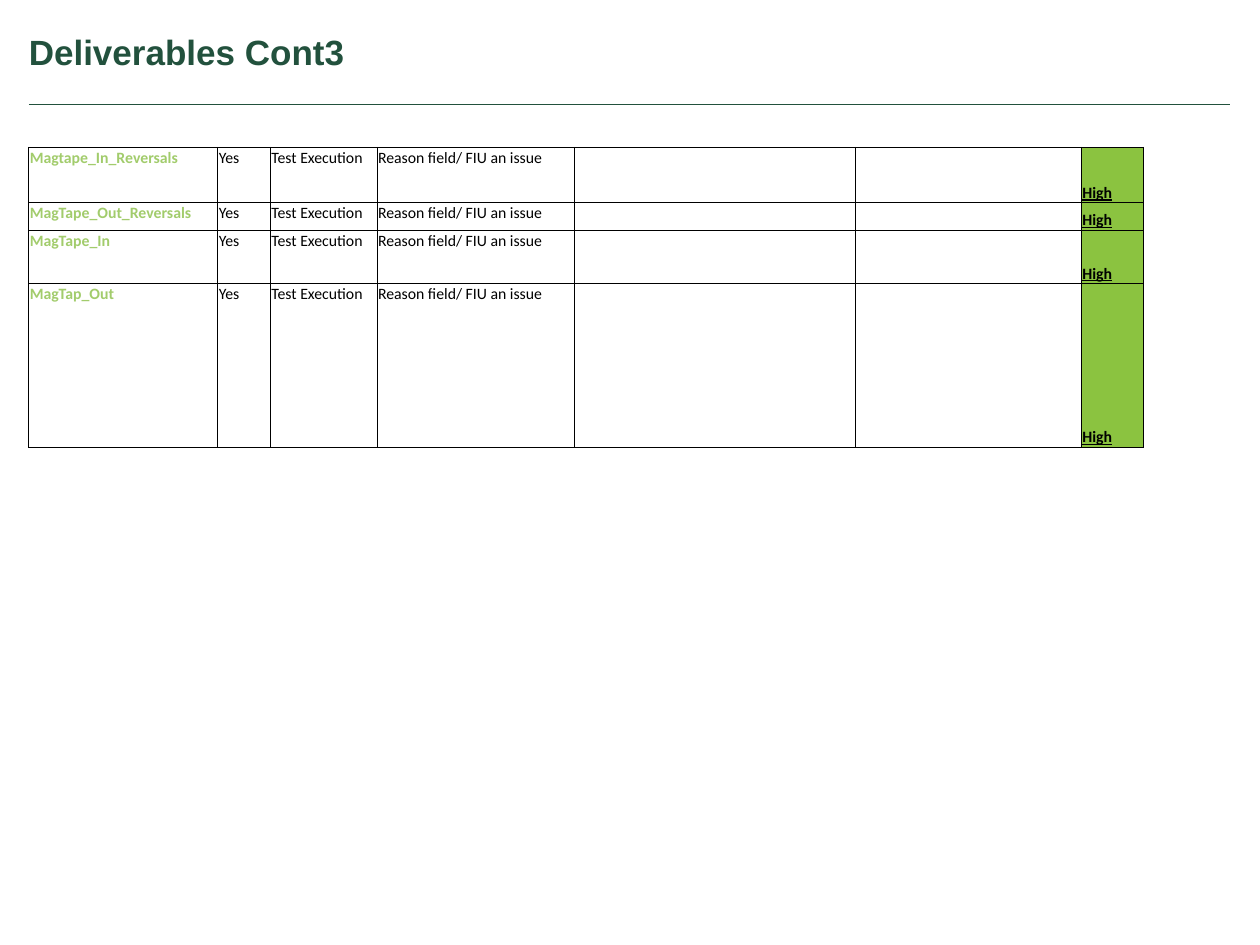
from typing import NamedTuple

from lxml.etree import SubElement
from pptx import Presentation
from pptx.dml.color import RGBColor
from pptx.enum.shapes import MSO_CONNECTOR
from pptx.enum.text import MSO_ANCHOR, PP_ALIGN
from pptx.oxml.ns import qn
from pptx.slide import Slide
from pptx.table import _Cell
from pptx.util import Cm, Pt

PINE = RGBColor(0x22, 0x51, 0x3D)
LIME = RGBColor(0xA2, 0xCC, 0x6C)
GREEN = RGBColor(0x8B, 0xC3, 0x40)
BLACK = RGBColor(0, 0, 0)

LEFT = Cm(0.58)
SIZE = Pt(9)
EDGE = Pt(0.5)
WIDTHS = [3.81, 1.06, 2.15, 3.98, 5.67, 4.55, 1.25]


class Item(NamedTuple):
    name: str
    height: float
    ready: str = "Yes"
    phase: str = "Test Execution"
    note: str = "Reason field/ FIU an issue"
    rank: str = "High"


ITEMS = [
    Item("Magtape_In_Reversals", 1.11),
    Item("MagTape_Out_Reversals", 0.56),
    Item("MagTape_In", 1.07),
    Item("MagTap_Out", 3.3),
]


def add_title(slide: Slide, text: str) -> None:
    title = slide.shapes.title
    title.left, title.top = LEFT, Cm(0.15)
    title.width, title.height = Cm(20.37), Cm(1.78)
    frame = title.text_frame
    frame.margin_left = frame.margin_right = 0
    frame.margin_top = frame.margin_bottom = 0
    frame.vertical_anchor = MSO_ANCHOR.MIDDLE
    para = frame.paragraphs[0]
    para.alignment = PP_ALIGN.LEFT
    run = para.add_run()
    run.text = text
    run.font.name, run.font.size = "Arial", Pt(20)
    run.font.bold = True
    run.font.color.rgb = PINE


def add_rule(slide: Slide) -> None:
    y = Cm(2.11)
    rule = slide.shapes.add_connector(
        MSO_CONNECTOR.STRAIGHT, LEFT, y, Cm(24.79), y)
    rule.line.color.rgb = PINE
    rule.line.width = EDGE
    SubElement(rule._element.spPr, qn("a:effectLst"))


def add_edges(cell: _Cell) -> None:
    props = cell._tc.get_or_add_tcPr()
    for side in ("lnL", "lnR", "lnT", "lnB"):
        line = SubElement(props, qn(f"a:{side}"), w=str(int(EDGE)))
        fill = SubElement(line, qn("a:solidFill"))
        SubElement(fill, qn("a:srgbClr"), val=str(BLACK))


def fill_cell(cell: _Cell, text: str, color: RGBColor = BLACK,
              bold: bool = False, rank: bool = False) -> None:
    cell.margin_left = cell.margin_right = cell.margin_top = Cm(0.02)
    cell.margin_bottom = 0
    add_edges(cell)
    cell.vertical_anchor = MSO_ANCHOR.BOTTOM if rank else MSO_ANCHOR.TOP
    if rank:
        cell.fill.solid()
        cell.fill.fore_color.rgb = GREEN
    else:
        cell.fill.background()
    para = cell.text_frame.paragraphs[0]
    if not text:
        # Small end mark keeps an empty cell from stretching its row
        SubElement(para._p, qn("a:endParaRPr"), sz=str(int(SIZE.pt * 100)))
        return
    run = para.add_run()
    run.text = text
    run.font.name, run.font.size = "Calibri", SIZE
    run.font.bold, run.font.underline = bold, rank
    run.font.color.rgb = color


def add_grid(slide: Slide, items: list[Item]) -> None:
    frame = slide.shapes.add_table(
        len(items), len(WIDTHS), LEFT, Cm(2.97),
        Cm(sum(WIDTHS)), Cm(sum(item.height for item in items)))
    table = frame.table
    table.first_row = table.horz_banding = False
    for col, width in zip(table.columns, WIDTHS):
        col.width = Cm(width)
    for row, item in zip(table.rows, items):
        row.height = Cm(item.height)
        name, *plain, rank = row.cells
        fill_cell(name, item.name, LIME, bold=True)
        for cell, text in zip(plain, (item.ready, item.phase, item.note, "", "")):
            fill_cell(cell, text)
        fill_cell(rank, item.rank, bold=True, rank=True)


def main() -> None:
    deck = Presentation()
    deck.slide_width, deck.slide_height = Cm(25.4), Cm(19.05)
    slide = deck.slides.add_slide(deck.slide_layouts[5])
    add_rule(slide)
    add_title(slide, "Deliverables Cont3")
    add_grid(slide, ITEMS)
    deck.save("out.pptx")


if __name__ == "__main__":
    main()
